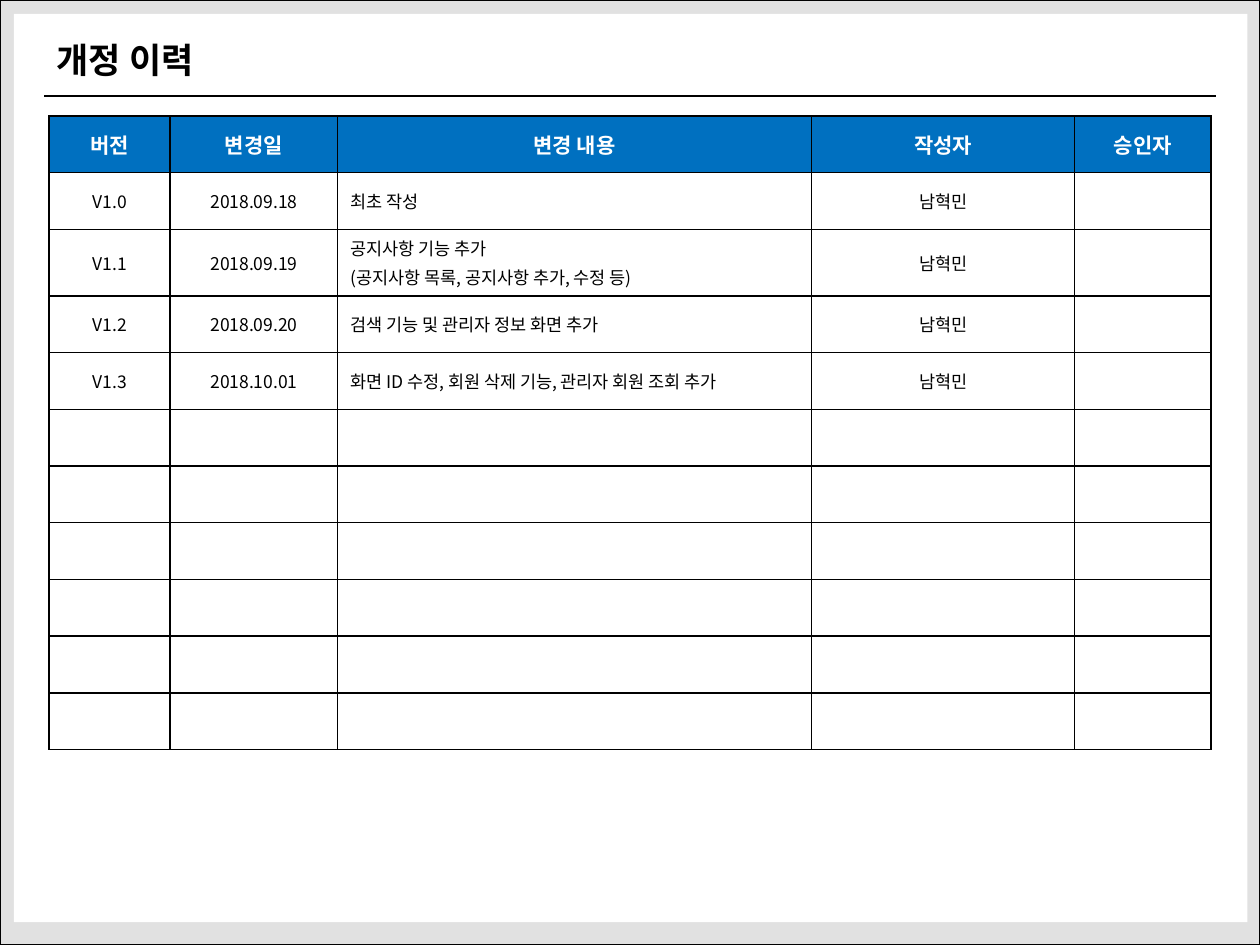
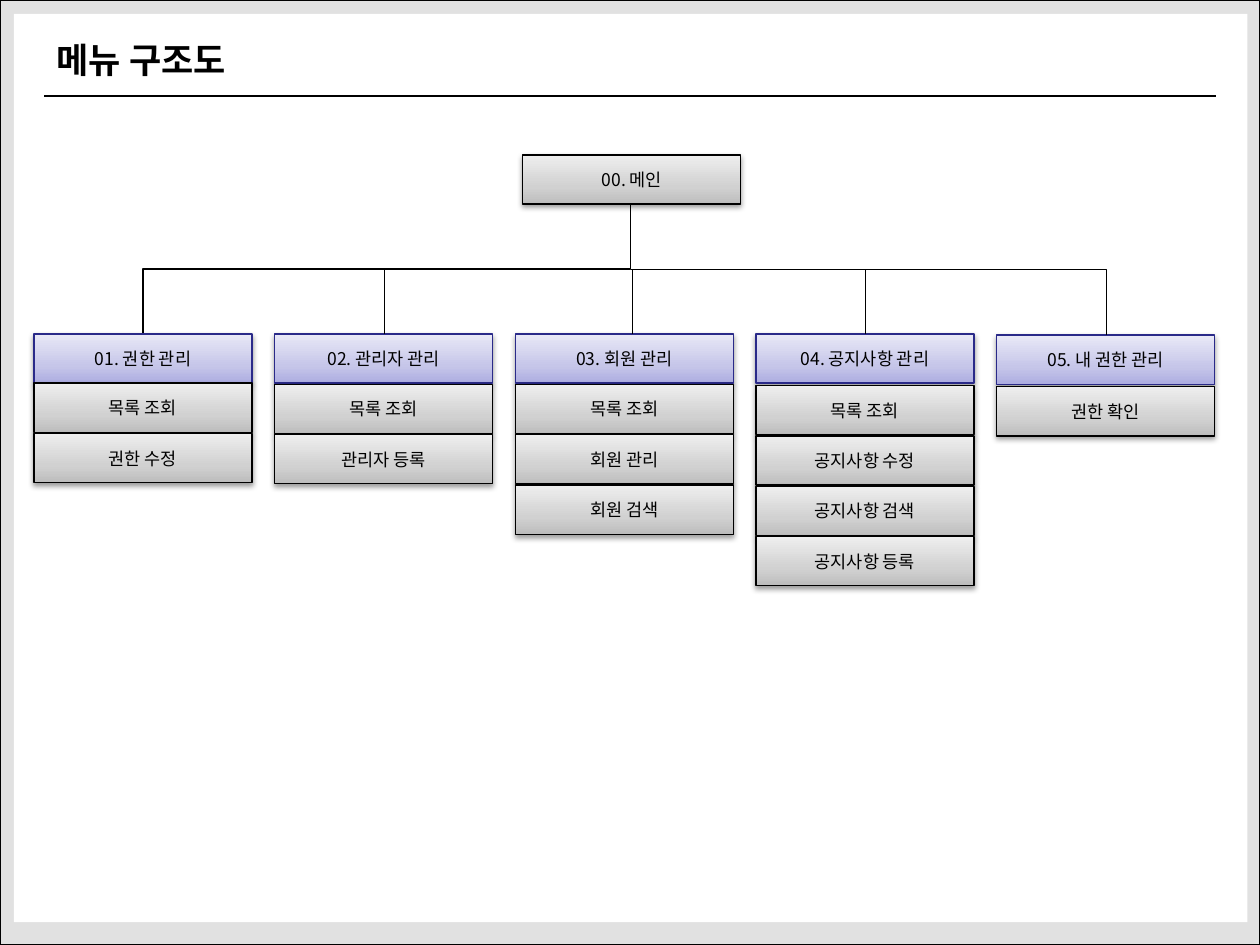
from lxml import etree
from pptx import Presentation
from pptx.dml.color import RGBColor
from pptx.enum.shapes import MSO_CONNECTOR, MSO_SHAPE
from pptx.enum.text import MSO_ANCHOR, MSO_AUTO_SIZE, PP_ALIGN
from pptx.oxml.ns import qn
from pptx.util import Inches, Pt

RECTANGLE = MSO_SHAPE.RECTANGLE
STRAIGHT, ELBOW = MSO_CONNECTOR.STRAIGHT, MSO_CONNECTOR.ELBOW
LEFT, CENTER = PP_ALIGN.LEFT, PP_ALIGN.CENTER
MIDDLE = MSO_ANCHOR.MIDDLE
NO_AUTOFIT = MSO_AUTO_SIZE.NONE

FONT = "Noto Sans CJK KR"
COLORS = {"black": "000000", "white": "FFFFFF", "frame": "E1E1E1",
          "header": "0070C0", "menu_line": "2A2A89"}
GRADIENTS = {"gray": ["BDBDBD", "D1D1D1", "EEEEEE"],
             "lavender": ["ADADE1", "C6C6E9", "E9E9F7"]}
GRADIENT_STOPS = [0, 35, 100]
BOX_WIDTH, BOX_HEIGHT, ITEM_PITCH = 1.73, 0.39, 0.4


def add_run(paragraph, text, size, color="black", bold=False):
    run = paragraph.add_run()
    run.text = text
    run.font.name = FONT
    run.font.size = Pt(size)
    run.font.bold = bold
    run.font.color.rgb = RGBColor.from_string(COLORS[color])
    etree.SubElement(run.font._element, qn("a:ea"), typeface=FONT)


def add_box(shapes, text, left, top, gradient="gray", line="black"):
    box = shapes.add_shape(RECTANGLE, Inches(left), Inches(top),
                           Inches(BOX_WIDTH), Inches(BOX_HEIGHT))
    box.line.color.rgb = RGBColor.from_string(COLORS[line])
    box.line.width = Pt(0.75)
    # Three-stop gradient, darkest at the bottom
    box.fill.gradient()
    box.fill.gradient_angle = 90
    stops = box.element.find(".//" + qn("a:gsLst"))
    stops.clear()
    for position, color in zip(GRADIENT_STOPS, GRADIENTS[gradient]):
        stop = etree.SubElement(stops, qn("a:gs"), pos=str(position * 1000))
        etree.SubElement(stop, qn("a:srgbClr"), val=color)
    # Soft shadow below
    box.shadow.inherit = False
    effects = box.element.find(".//" + qn("a:effectLst"))
    shadow = etree.SubElement(effects, qn("a:outerShdw"), blurRad="40000",
                              dist="20000", dir="5400000", rotWithShape="0")
    shadow_color = etree.SubElement(shadow, qn("a:srgbClr"), val=COLORS["black"])
    etree.SubElement(shadow_color, qn("a:alpha"), val="38000")
    # Label
    box.text_frame.word_wrap = True
    box.text_frame.vertical_anchor = MIDDLE
    paragraph = box.text_frame.paragraphs[0]
    paragraph.alignment = CENTER
    add_run(paragraph, text, 10)


presentation = Presentation()
presentation.slide_width = Inches(10)
presentation.slide_height = Inches(7.5)
layout = presentation.slide_layouts[5]

# Titles
slides = []
for title_text in ["개정 이력", "메뉴 구조도"]:
    slide = presentation.slides.add_slide(layout)
    slides.append(slide)
    title = slide.shapes.title
    title.left, title.top = Inches(0.35), Inches(0.25)
    title.width, title.height = Inches(6.66), Inches(0.44)
    title.text_frame.auto_size = NO_AUTOFIT
    title.text_frame.vertical_anchor = MIDDLE
    paragraph = title.text_frame.paragraphs[0]
    paragraph.alignment = LEFT
    add_run(paragraph, title_text, 20, bold=True)
history_slide, menu_slide = slides

# Shared frame, page and title rule, moved to the layout
frame = history_slide.shapes.add_shape(RECTANGLE, 0, 0, Inches(10), Inches(7.5))
frame.line.color.rgb = RGBColor.from_string(COLORS["black"])
frame.line.width = Pt(0.75)
page = history_slide.shapes.add_shape(RECTANGLE, Inches(0.11), Inches(0.11),
                                      Inches(9.79), Inches(7.21))
page.line.fill.background()
for shape, color in [(frame, "frame"), (page, "white")]:
    shape.shadow.inherit = False
    shape.fill.solid()
    shape.fill.fore_color.rgb = RGBColor.from_string(COLORS[color])
title_rule = history_slide.shapes.add_connector(
    STRAIGHT, Inches(0.35), Inches(0.76), Inches(9.65), Inches(0.76))
for index, shape in enumerate([frame, page, title_rule], start=2):
    layout.shapes.element.insert(index, shape.element)
connectors = [(title_rule, 1)]

# Revision history table
AUTHOR = "남혁민"
column_widths = [0.96, 1.33, 3.76, 2.09, 1.08]
history = [
    ["버전", "변경일", "변경 내용", "작성자", "승인자"],
    ["V1.0", "2018.09.18", "최초 작성", AUTHOR, ""],
    ["V1.1", "2018.09.19",
     "공지사항 기능 추가\n(공지사항 목록, 공지사항 추가, 수정 등)", AUTHOR, ""],
    ["V1.2", "2018.09.20", "검색 기능 및 관리자 정보 화면 추가", AUTHOR, ""],
    ["V1.3", "2018.10.01",
     "화면 ID 수정, 회원 삭제 기능, 관리자 회원 조회 추가", AUTHOR, ""],
] + [[""] * 5] * 6
table = history_slide.shapes.add_table(
    len(history), len(column_widths), Inches(0.39), Inches(0.92),
    Inches(sum(column_widths)), Inches(0.45 * len(history))).table
table.first_row = False
table.horz_banding = False
for column, width in zip(table.columns, column_widths):
    column.width = Inches(width)
for row_index, row in enumerate(history):
    table.rows[row_index].height = Inches(0.45)
    is_header = row_index == 0
    for column_index, text in enumerate(row):
        cell = table.cell(row_index, column_index)
        cell.vertical_anchor = MIDDLE
        cell_properties = cell._tc.get_or_add_tcPr()
        for side in ["lnL", "lnR", "lnT", "lnB"]:
            border = etree.SubElement(cell_properties, qn("a:" + side), w="12700")
            border_fill = etree.SubElement(border, qn("a:solidFill"))
            etree.SubElement(border_fill, qn("a:srgbClr"), val=COLORS["black"])
        if is_header:
            cell.fill.solid()
            cell.fill.fore_color.rgb = RGBColor.from_string(COLORS["header"])
        else:
            cell.fill.background()
        paragraph = cell.text_frame.paragraphs[0]
        if not text:
            etree.SubElement(paragraph._p, qn("a:endParaRPr"), sz="1000")
            continue
        for line_index, line in enumerate(text.split("\n")):
            if line_index:
                paragraph = cell.text_frame.add_paragraph()
            paragraph.space_before = Pt(2)
            paragraph.alignment = LEFT if column_index == 2 and not is_header else CENTER
            if is_header:
                add_run(paragraph, line, 12, "white", bold=True)
            else:
                add_run(paragraph, line, 10)

# Menu tree: root box, then one group per menu
add_box(menu_slide.shapes, "00. 메인", 4.15, 1.23)
menus = [
    ("01. 권한 관리", 2.65, 3.04, ["목록 조회", "권한 수정"]),
    ("02. 관리자 관리", 2.65, 3.05, ["목록 조회", "관리자 등록"]),
    ("03. 회원 관리", 2.65, 3.05, ["목록 조회", "회원 관리", "회원 검색"]),
    ("04. 공지사항 관리", 2.65, 3.06,
     ["목록 조회", "공지사항 수정", "공지사항 검색", "공지사항 등록"]),
    ("05. 내 권한 관리", 2.66, 3.07, ["권한 확인"]),
]
for menu_index, (menu, menu_top, items_top, items) in enumerate(menus):
    left = 0.27 + 1.91 * menu_index
    group = menu_slide.shapes.add_group_shape()
    add_box(group.shapes, menu, left, menu_top, "lavender", "menu_line")
    for item_index, item in enumerate(items):
        add_box(group.shapes, item, left, items_top + ITEM_PITCH * item_index)

# Branches from the root: the first one is turned a quarter to run down, across, down
branches = [
    (ELBOW, "bentConnector3", 2.56, 0.2, 3.58, 4.07),
    (ELBOW, "bentConnector2", 4.03, 2.14, 3.05, 2.65),
    (ELBOW, "bentConnector2", 5.01, 2.14, 6.87, 2.65),
    (ELBOW, "bentConnector2", 6.81, 2.14, 8.78, 2.66),
    (STRAIGHT, "line", 5.02, 2.65, 5.02, 2.14),
]
for kind, geometry, *ends in branches:
    branch = menu_slide.shapes.add_connector(kind, *[Inches(end) for end in ends])
    branch.element.find(".//" + qn("a:prstGeom")).set("prst", geometry)
    if geometry == "bentConnector3":
        branch.element.find(".//" + qn("a:xfrm")).set("rot", "5400000")
    connectors.append((branch, 0.75))

# Line style of the title rule and the branches
for connector, width in connectors:
    connector.line.color.rgb = RGBColor.from_string(COLORS["black"])
    connector.line.width = Pt(width)
    etree.SubElement(connector.element.spPr, qn("a:effectLst"))

presentation.save("out.pptx")
